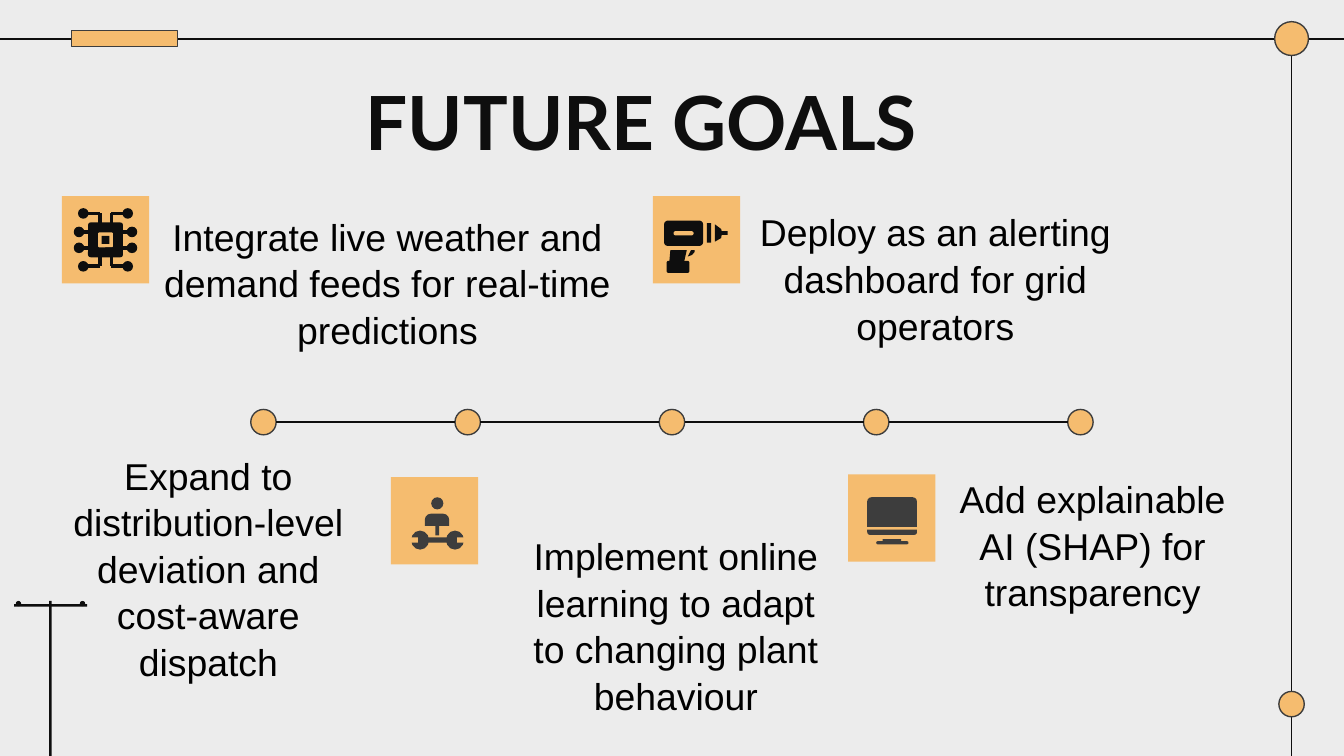
from dataclasses import dataclass
from itertools import pairwise, product

from lxml import etree
from pptx import Presentation
from pptx.dml.color import RGBColor
from pptx.enum.shapes import MSO_CONNECTOR, MSO_SHAPE
from pptx.enum.text import MSO_ANCHOR, MSO_AUTO_SIZE, PP_ALIGN
from pptx.oxml.ns import qn
from pptx.util import Cm, Pt

RECTANGLE = MSO_SHAPE.RECTANGLE
ROUNDED = MSO_SHAPE.ROUNDED_RECTANGLE
ROUND_TOP = MSO_SHAPE.ROUND_2_SAME_RECTANGLE
ELLIPSE = MSO_SHAPE.OVAL
STRAIGHT = MSO_CONNECTOR.STRAIGHT
TOP, BOTTOM = MSO_ANCHOR.TOP, MSO_ANCHOR.BOTTOM
CENTER = PP_ALIGN.CENTER
NO_AUTOFIT = MSO_AUTO_SIZE.NONE


@dataclass(frozen=True)
class Theme:
    background: RGBColor = RGBColor(0xEC, 0xEC, 0xEC)
    accent: RGBColor = RGBColor(0xF5, 0xBC, 0x6F)
    ink: RGBColor = RGBColor(0x0E, 0x0E, 0x0E)
    grey: RGBColor = RGBColor(0x3D, 0x3D, 0x3D)
    body: RGBColor = RGBColor(0, 0, 0)
    title_font: str = "Lato"
    body_font: str = "Arial"
    title_size: int = 40
    body_size: int = 20
    hairline: float = 0.75


@dataclass(frozen=True)
class Goal:
    text: str
    left: float
    top: float
    width: float
    anchor: MSO_ANCHOR


@dataclass(frozen=True)
class Piece:
    kind: MSO_SHAPE
    left: float
    top: float
    width: float
    height: float
    color: RGBColor
    rounding: float | None = None
    rotation: int = 0
    outlined: bool = False


@dataclass(frozen=True)
class Outline:
    points: tuple
    color: RGBColor


@dataclass(frozen=True)
class Trace:
    start: tuple
    end: tuple
    width: float


@dataclass(frozen=True)
class Icon:
    left: float
    top: float
    pieces: tuple


THEME = Theme()
TILE = 1.65
DOT = 0.48

GOALS = (
    Goal("Expand to distribution-level deviation and cost-aware dispatch", 0.97, 11.91, 5.94, BOTTOM),
    Goal("Implement online learning to adapt to changing plant behaviour", 9.6, 12.55, 6.35, BOTTOM),
    Goal("Add explainable AI (SHAP) for transparency", 17.68, 10.59, 5.94, BOTTOM),
    Goal("Integrate live weather and demand feeds for real-time predictions", 2.74, 3.76, 9.17, TOP),
    Goal("Deploy as an alerting dashboard for grid operators", 13.26, 3.68, 8.84, TOP),
)


def chip_pieces() -> tuple:
    middle = TILE / 2
    pieces = []
    for x_sign, y_sign in product((-1, 1), repeat=2):
        def place(x: float, y: float) -> tuple:
            return middle + x_sign * x, middle + y_sign * y

        corner, bend, joint = place(0.42, 0.5), place(0.11, 0.5), place(0.11, 0.25)
        side, edge = place(0.5, 0.15), place(0.25, 0.15)
        pieces += [Trace(start, end, 2) for start, end in ((corner, bend), (bend, joint), (side, edge))]
        pieces += [Piece(ELLIPSE, x - 0.1, y - 0.1, 0.2, 0.2, THEME.ink) for x, y in (corner, side)]
    for size, color, rounding in ((0.66, THEME.ink, 0.08), (0.28, THEME.accent, 0.08), (0.15, THEME.ink, 0)):
        pieces.append(Piece(ROUNDED, middle - size / 2, middle - size / 2, size, size, color, rounding))
    return tuple(pieces)


def wrench_pieces() -> tuple:
    return tuple(
        piece
        for jaw, notch in ((0.38, 0.36), (1.04, 1.25))
        for piece in (
            Piece(ELLIPSE, jaw, 1.01, 0.34, 0.36, THEME.grey),
            Piece(RECTANGLE, notch, 1.14, 0.15, 0.1, THEME.accent),
        )
    )


DRILL = (
    Piece(ROUNDED, 0.21, 0.46, 0.74, 0.48, THEME.ink, 0.15),
    Piece(ROUNDED, 0.39, 0.66, 0.38, 0.08, THEME.accent, 0.5),
    Piece(RECTANGLE, 1.02, 0.51, 0.08, 0.37, THEME.ink),
    Piece(ROUNDED, 0.26, 1.22, 0.43, 0.23, THEME.ink, 0.15),
    Outline(((0.33, 1.02), (0.64, 1.02), (0.59, 1.24), (0.31, 1.24)), THEME.ink),
    Outline(((0.72, 1.02), (0.66, 1.14), (0.74, 1.11), (0.79, 1.05), (0.79, 1.02)), THEME.ink),
    Outline(((1.17, 0.53), (1.29, 0.62), (1.3, 0.66), (1.41, 0.66),
             (1.41, 0.73), (1.3, 0.73), (1.29, 0.79), (1.17, 0.86)), THEME.ink),
)
ENGINEER = (
    Piece(ELLIPSE, 0.76, 0.38, 0.23, 0.23, THEME.grey),
    Piece(ROUND_TOP, 0.64, 0.69, 0.46, 0.23, THEME.grey, 0.5),
    Piece(RECTANGLE, 0.84, 0.9, 0.07, 0.2, THEME.grey),
    Piece(RECTANGLE, 0.66, 1.14, 0.46, 0.1, THEME.grey),
) + wrench_pieces()
MONITOR = (
    Piece(ROUND_TOP, 0.36, 0.43, 0.94, 0.56, THEME.grey, 0.14),
    Piece(ROUND_TOP, 0.36, 1.04, 0.94, 0.1, THEME.grey, 0.5, 180),
    Piece(RECTANGLE, 0.65, 1.22, 0.35, 0.06, THEME.grey),
    Piece(ROUNDED, 0.53, 1.26, 0.61, 0.06, THEME.grey, 0.5),
)
ICONS = (
    Icon(1.17, 3.71, chip_pieces()),
    Icon(12.34, 3.71, DRILL),
    Icon(7.39, 9.02, ENGINEER),
    Icon(16.03, 8.97, MONITOR),
)


def style_shape(shape, color: RGBColor, outlined: bool = False) -> None:
    shape.shadow.inherit = False
    shape.fill.solid()
    shape.fill.fore_color.rgb = color
    if outlined:
        shape.line.color.rgb = THEME.grey
        shape.line.width = Pt(THEME.hairline)
    else:
        shape.line.fill.background()


def draw_piece(slide, piece: Piece, left: float = 0, top: float = 0) -> None:
    shape = slide.shapes.add_shape(
        piece.kind, Cm(left + piece.left), Cm(top + piece.top), Cm(piece.width), Cm(piece.height))
    if piece.rounding is not None:
        shape.adjustments[0] = piece.rounding
    shape.rotation = piece.rotation
    style_shape(shape, piece.color, piece.outlined)


def draw_outline(slide, outline: Outline, left: float, top: float) -> None:
    points = [(Cm(left + x), Cm(top + y)) for x, y in outline.points]
    builder = slide.shapes.build_freeform(*points[0])
    builder.add_line_segments(points[1:], close=True)
    style_shape(builder.convert_to_shape(), outline.color)


def draw_line(slide, trace: Trace, left: float = 0, top: float = 0) -> None:
    (start_x, start_y), (end_x, end_y) = trace.start, trace.end
    line = slide.shapes.add_connector(
        STRAIGHT, Cm(left + start_x), Cm(top + start_y), Cm(left + end_x), Cm(top + end_y))
    line.line.color.rgb = THEME.ink
    line.line.width = Pt(trace.width)
    etree.SubElement(line._element.spPr, qn("a:effectLst"))


def draw_icon(slide, icon: Icon) -> None:
    draw_piece(slide, Piece(RECTANGLE, icon.left, icon.top, TILE, TILE, THEME.accent))
    draw = {Piece: draw_piece, Outline: draw_outline, Trace: draw_line}
    for piece in icon.pieces:
        draw[type(piece)](slide, piece, icon.left, icon.top)


def write_text(shape, text: str, anchor: MSO_ANCHOR, font: str, size: int, color: RGBColor,
               bold: bool = False, spacing: float = 1.0) -> None:
    frame = shape.text_frame
    frame.word_wrap = True
    frame.auto_size = NO_AUTOFIT
    frame.vertical_anchor = anchor
    frame.margin_left = frame.margin_right = frame.margin_top = frame.margin_bottom = Cm(0.25)
    paragraph = frame.paragraphs[0]
    paragraph.alignment = CENTER
    paragraph.line_spacing = spacing
    run = paragraph.add_run()
    run.text = text
    run.font.name, run.font.size, run.font.bold = font, Pt(size), bold
    run.font.color.rgb = color


def draw_frame(slide) -> None:
    draw_line(slide, Trace((0, 0.74), (25.4, 0.74), THEME.hairline))
    draw_line(slide, Trace((24.41, 0.74), (24.41, 14.29), THEME.hairline))
    draw_piece(slide, Piece(RECTANGLE, 1.35, 0.58, 2.01, 0.3, THEME.accent, outlined=True))
    draw_piece(slide, Piece(ELLIPSE, 24.09, 0.41, 0.64, 0.64, THEME.accent, outlined=True))
    draw_piece(slide, Piece(ELLIPSE, 24.17, 13.07, DOT, DOT, THEME.accent, outlined=True))
    draw_piece(slide, Piece(RECTANGLE, 0.27, 11.42, 1.38, 0.05, THEME.ink))
    draw_piece(slide, Piece(RECTANGLE, 0.93, 11.36, 0.05, 2.93, THEME.ink))
    for left in (0.3, 1.51):
        draw_piece(slide, Piece(ELLIPSE, left, 11.36, 0.1, 0.1, THEME.ink))


def draw_timeline(slide) -> None:
    middle = 7.98
    lefts = [4.74 + 3.86 * index for index in range(5)]
    for left in lefts:
        draw_piece(slide, Piece(ELLIPSE, left, middle - DOT / 2, DOT, DOT, THEME.accent, outlined=True))
    for left, following in pairwise(lefts):
        draw_line(slide, Trace((left + DOT, middle), (following, middle), THEME.hairline))


def main() -> None:
    presentation = Presentation()
    presentation.slide_width, presentation.slide_height = Cm(25.4), Cm(14.29)
    slide = presentation.slides.add_slide(presentation.slide_layouts[5])
    slide.background.fill.solid()
    slide.background.fill.fore_color.rgb = THEME.background
    draw_frame(slide)
    title = slide.shapes.title
    title.left, title.top, title.width, title.height = Cm(1.4), Cm(1.19), Cm(21.44), Cm(1.6)
    write_text(title, "FUTURE GOALS", TOP, THEME.title_font, THEME.title_size, THEME.ink, bold=True)
    for goal in GOALS:
        box = slide.shapes.add_textbox(Cm(goal.left), Cm(goal.top), Cm(goal.width), Cm(1.27))
        write_text(box, goal.text, goal.anchor, THEME.body_font, THEME.body_size, THEME.body, spacing=1.04)
    draw_timeline(slide)
    for icon in ICONS:
        draw_icon(slide, icon)
    presentation.save("out.pptx")


if __name__ == "__main__":
    main()
